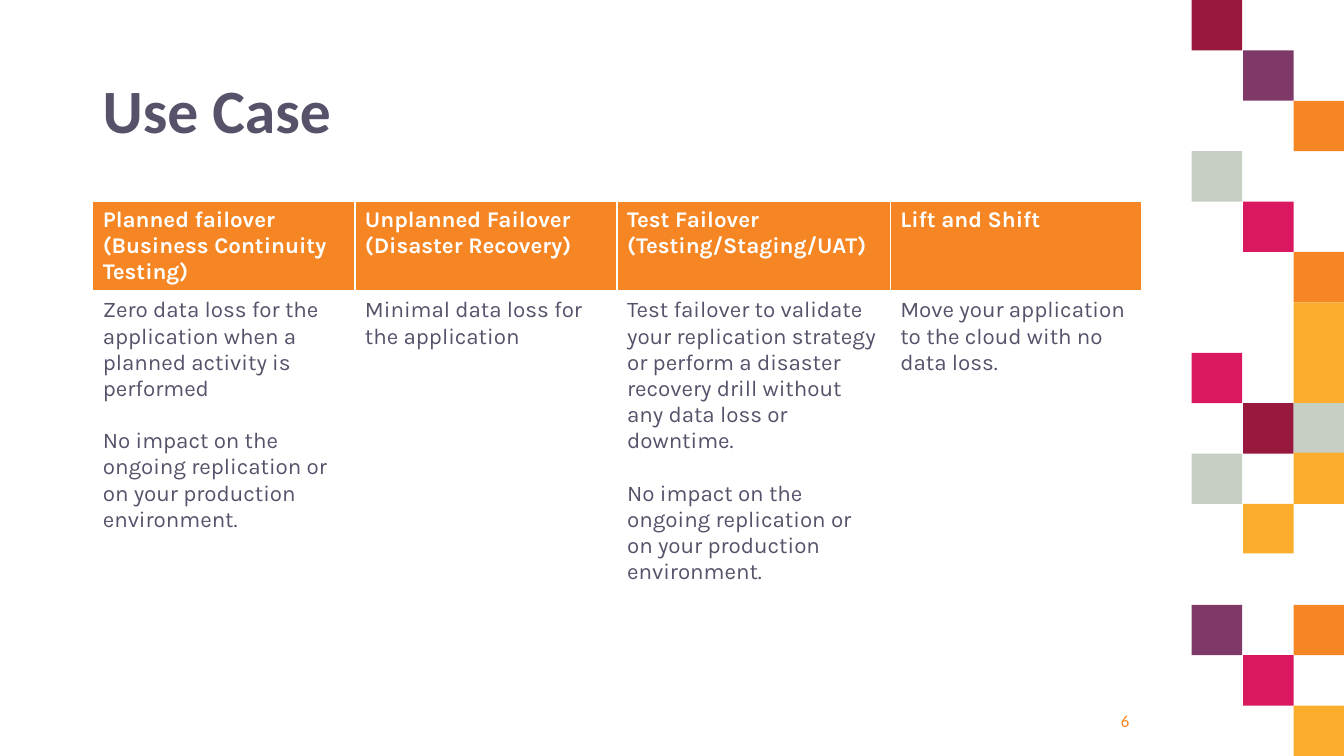
from lxml.etree import SubElement
from pptx import Presentation
from pptx.dml.color import RGBColor
from pptx.enum.shapes import MSO_SHAPE as Preset
from pptx.enum.text import MSO_ANCHOR as Anchor, PP_ALIGN as Align
from pptx.oxml.ns import qn
from pptx.util import Inches, Pt

COLORS = {
    "white": "FFFFFF", "ink": "58516A", "orange": "F68623", "amber": "FBAE2D",
    "plum": "7F3968", "wine": "99183E", "pink": "D91860", "sage": "C7CFC4",
}
TILE = 0.5
MOSAIC_COLUMNS = [11.82, 12.33, 12.83]
MOSAIC = [
    (0, 0, "wine", 1), (1, 1, "plum", 1), (2, 2, "orange", 1),
    (0, 3, "sage", 1), (1, 4, "pink", 1), (2, 5, "orange", 1),
    (2, 6, "amber", 2), (0, 7, "pink", 1), (1, 8, "wine", 1),
    (2, 8, "sage", 1), (0, 9, "sage", 1), (0, 12, "plum", 1),
    (2, 12, "orange", 1), (1, 13, "pink", 1), (2, 14, "amber", 1),
]
DIAGONAL_PAIR = [
    (12.83, 4.49), (13.33, 4.49), (13.33, 5), (12.83, 5),
    (12.83, 5.49), (12.33, 5.49), (12.33, 5), (12.83, 5),
]
NO_IMPACT = "No impact on the ongoing replication or on your production environment."
USE_CASES = [
    (2.6, ["Planned failover", "(Business Continuity Testing)"],
     ["Zero data loss for the application when a planned activity is performed",
      NO_IMPACT]),
    (2.6, ["Unplanned Failover", "(Disaster Recovery)"],
     ["Minimal data loss for the application"]),
    (2.71, ["Test Failover", "(Testing/Staging/UAT)"],
     ["Test failover to validate your replication strategy or perform a disaster "
      "recovery drill without any data loss or downtime.", NO_IMPACT]),
    (2.49, ["Lift and Shift"],
     ["Move your application to the cloud with no data loss."]),
]


def color(name):
    return RGBColor.from_string(COLORS[name])


def write(frame, paragraphs, font="Karla", size=16, ink="ink", bold=False,
          align=Align.LEFT, gap=0, spacing=1.0):
    frame.word_wrap = True
    for index, words in enumerate(paragraphs):
        paragraph = frame.paragraphs[0] if index == 0 else frame.add_paragraph()
        paragraph.alignment = align
        paragraph.line_spacing = spacing
        paragraph.space_before = Pt(gap if index else 0)
        run = paragraph.add_run()
        run.text = words
        run.font.name = font
        run.font.size = Pt(size)
        run.font.bold = bold
        run.font.color.rgb = color(ink)


class Deck:
    def __init__(self):
        self.presentation = Presentation()
        self.presentation.slide_width = Inches(13.33)
        self.presentation.slide_height = Inches(7.5)
        self.heading_font = "Calibri"
        self.slide = self.presentation.slides.add_slide(
            self.presentation.slide_layouts[6])

    def paint(self, shape, fill):
        shape.shadow.inherit = False
        shape.fill.solid()
        shape.fill.fore_color.rgb = color(fill)
        shape.line.fill.background()

    def tile(self, left, top, fill, rows):
        self.paint(self.slide.shapes.add_shape(
            Preset.RECTANGLE, Inches(left), Inches(top),
            Inches(TILE), Inches(TILE * rows)), fill)

    def outline(self, points, fill):
        corners = [(Inches(x), Inches(y)) for x, y in points]
        builder = self.slide.shapes.build_freeform(*corners[0])
        builder.add_line_segments(corners[1:], close=True)
        self.paint(builder.convert_to_shape(), fill)

    def text(self, left, top, width, height, words, **style):
        box = self.slide.shapes.add_textbox(
            Inches(left), Inches(top), Inches(width), Inches(height))
        box.text_frame.vertical_anchor = Anchor.MIDDLE
        write(box.text_frame, [words], font=self.heading_font, **style)

    def cell(self, cell, paragraphs, fill, bottom=1, **style):
        write(cell.text_frame, paragraphs, **style)
        properties = cell._tc.get_or_add_tcPr()
        for side, points in (("L", 1), ("R", 1), ("T", 1), ("B", bottom)):
            line = SubElement(properties, qn(f"a:ln{side}"), w=str(Pt(points)))
            solid = SubElement(line, qn("a:solidFill"))
            SubElement(solid, qn("a:srgbClr"), val=COLORS["white"])
        cell.fill.solid()
        cell.fill.fore_color.rgb = color(fill)

    def table(self, left, top, columns, header_height, body_height):
        table = self.slide.shapes.add_table(
            2, len(columns), Inches(left), Inches(top),
            Inches(sum(width for width, _, _ in columns)),
            Inches(header_height + body_height)).table
        table.horz_banding = False
        table.rows[0].height = Inches(header_height)
        table.rows[1].height = Inches(body_height)
        for index, (width, heading, details) in enumerate(columns):
            table.columns[index].width = Inches(width)
            self.cell(table.cell(0, index), heading, "orange", bottom=3,
                      ink="white", bold=True)
            self.cell(table.cell(1, index), details, "white", gap=18.7)


def main():
    deck = Deck()
    for column, row, fill, rows in MOSAIC:
        deck.tile(MOSAIC_COLUMNS[column], row * TILE, fill, rows)
    deck.outline(DIAGONAL_PAIR, "amber")
    deck.text(8.99, 6.95, 2.31, 0.4, "6", size=12, ink="orange", align=Align.RIGHT)
    deck.table(0.92, 2, USE_CASES, header_height=0.86, body_height=2.81)
    deck.text(0.92, 0.4, 10.39, 1.45, "Use Case", size=44, bold=True, spacing=0.9)
    deck.presentation.save("out.pptx")


if __name__ == "__main__":
    main()
